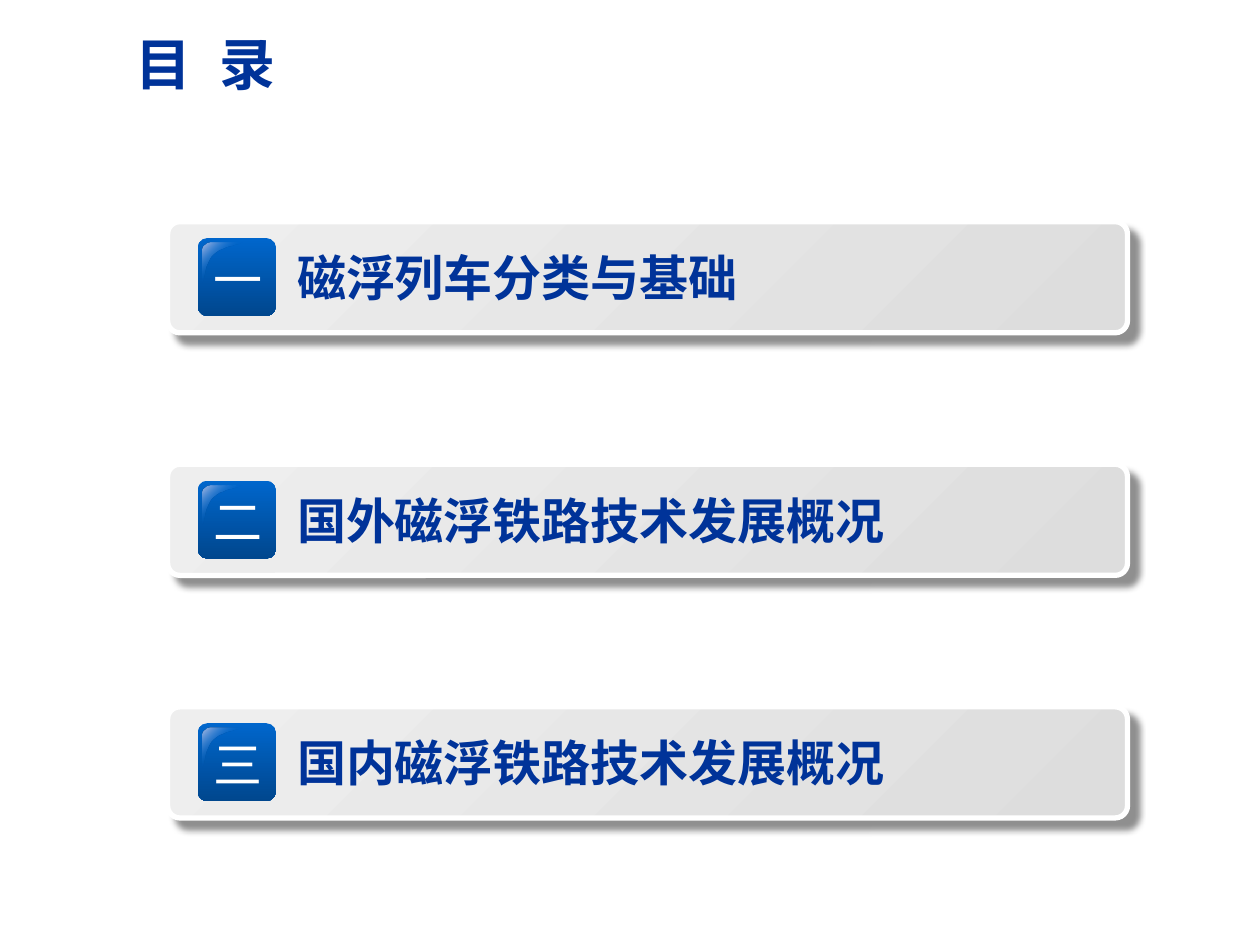
from lxml.etree import SubElement
from pptx import Presentation
from pptx.dml.color import RGBColor
from pptx.enum.shapes import MSO_SHAPE
from pptx.enum.text import MSO_ANCHOR, PP_ALIGN
from pptx.oxml.ns import qn
from pptx.util import Cm, Pt

FONT = "Noto Sans CJK SC"
HUES = {
    "navy": "003399",
    "white": "FFFFFF",
    "pale": "EEEEEE",
    "grey": "DDDDDD",
    "blue": "0066CC",
    "deep": "00478E",
    "shine": "B5C0E5",
    "black": "000000",
}
ITEMS = [
    ("一", "磁浮列车分类与基础"),
    ("二", "国外磁浮铁路技术发展概况"),
    ("三", "国内磁浮铁路技术发展概况"),
]
TOP, STEP = 4.47, 4.89
CURVES = [
    [(18, 0), (8, 0), (0, 8), (0, 15)],
    [(0, 79), (5, 79), (3, 41), (23, 23)],
    [(23, 23), (43, 5), (79, 5), (79, 0)],
]


def tint(node, hue, alpha=100):
    clr = SubElement(node, qn("a:srgbClr"), val=HUES[hue])
    if alpha < 100:
        SubElement(clr, qn("a:alpha"), val=str(alpha * 1000))


def blend(shape, stops, angle):
    shape.fill.background()
    old = shape._element.spPr.find(qn("a:noFill"))
    grad = old.makeelement(qn("a:gradFill"), {"rotWithShape": "1"})
    group = SubElement(grad, qn("a:gsLst"))
    for pos, hue, alpha in stops:
        tint(SubElement(group, qn("a:gs"), pos=str(pos * 1000)), hue, alpha)
    SubElement(grad, qn("a:lin"), ang=str(angle * 60000), scaled="0")
    old.getparent().replace(old, grad)


def shade(node, alpha, blur, dist):
    drop = SubElement(
        node, qn("a:outerShdw"), blurRad=str(Pt(blur)), dist=str(Pt(dist)),
        dir="2700000", algn="ctr", rotWithShape="0",
    )
    tint(drop, "black", alpha)


def add_run(para, text, size, hue, bold=False):
    run = para.add_run()
    run.text = text
    font = run.font
    font.size, font.bold, font.name = Pt(size), bold, FONT
    font.color.rgb = RGBColor.from_string(HUES[hue])
    SubElement(run._r.get_or_add_rPr(), qn("a:ea"), typeface=FONT)
    return run


def add_title(slide):
    title = slide.shapes.title
    title.left, title.top, title.width, title.height = Cm(2.21), Cm(0.3), Cm(22.02), Cm(1.96)
    frame = title.text_frame
    frame.vertical_anchor = MSO_ANCHOR.MIDDLE
    para = frame.paragraphs[0]
    para.alignment = PP_ALIGN.LEFT
    props = para._p.get_or_add_pPr()
    props.set("marL", str(Cm(0.27)))
    props.set("indent", "0")
    for text, gap in [("目", 50), (" ", 820), ("录", 50)]:
        rpr = add_run(para, text, 32, "navy", True)._r.rPr
        rpr.set("spc", str(gap))
        glow = rpr.makeelement(qn("a:effectLst"), {})
        rpr.find(qn("a:solidFill")).addnext(glow)
        shade(glow, 100, 0, 3)


def add_round(slide, left, top, wide, high, curve, stops, angle):
    shape = slide.shapes.add_shape(
        MSO_SHAPE.ROUNDED_RECTANGLE, Cm(left), Cm(top), Cm(wide), Cm(high))
    shape.adjustments[0] = curve
    blend(shape, stops, angle)
    shape.line.fill.background()
    shape.shadow.inherit = False
    return shape


def add_bar(slide, top):
    bar = add_round(slide, 3.38, top, 19.35, 2.24, 0.11,
                    [(0, "pale", 100), (100, "grey", 100)], 45)
    bar.line.color.rgb = RGBColor.from_string(HUES["white"])
    bar.line.width = Pt(3)
    shade(bar._element.spPr.find(qn("a:effectLst")), 44, 4, 7)


def trace(curve, count=12):
    for i in range(count + 1):
        t = i / count
        u = 1 - t
        rates = (u ** 3, 3 * u * u * t, 3 * u * t * t, t ** 3)
        yield tuple(sum(r * p[axis] for r, p in zip(rates, curve)) for axis in (0, 1))


def add_gloss(slide, left, top):
    dots = [dot for curve in CURVES for dot in trace(curve)]
    pen = slide.shapes.build_freeform(*dots[0], scale=Cm(0.01))
    pen.add_line_segments(dots[1:], close=True)
    gloss = pen.convert_to_shape(Cm(left), Cm(top))
    blend(gloss, [(0, "shine", 100), (50, "blue", 0), (100, "shine", 100)], 45)
    gloss.line.fill.background()
    gloss.shadow.inherit = False


def add_text(slide, left, top, wide, text, hue, bold, align, wrap):
    box = slide.shapes.add_textbox(Cm(left), Cm(top), Cm(wide), Cm(1.45))
    frame = box.text_frame
    frame.word_wrap = wrap
    frame.vertical_anchor = MSO_ANCHOR.MIDDLE
    para = frame.paragraphs[0]
    para.alignment = align
    add_run(para, text, 28, hue, bold)


def add_item(slide, top, mark, text):
    add_bar(slide, top)
    add_round(slide, 3.99, top + 0.33, 1.57, 1.57, 0.12,
              [(0, "blue", 100), (100, "deep", 100)], 90)
    add_gloss(slide, 4.09, top + 0.43)
    add_text(slide, 4.04, top + 0.42, 1.52, mark, "white", False, PP_ALIGN.CENTER, False)
    add_text(slide, 5.74, top + 0.39, 15.49, text, "navy", True, PP_ALIGN.LEFT, True)


def main():
    deck = Presentation()
    deck.slide_width, deck.slide_height = Cm(25.4), Cm(19.05)
    slide = deck.slides.add_slide(deck.slide_layouts[5])
    add_title(slide)
    for i, (mark, text) in enumerate(ITEMS):
        add_item(slide, TOP + i * STEP, mark, text)
    deck.save("out.pptx")


if __name__ == "__main__":
    main()
